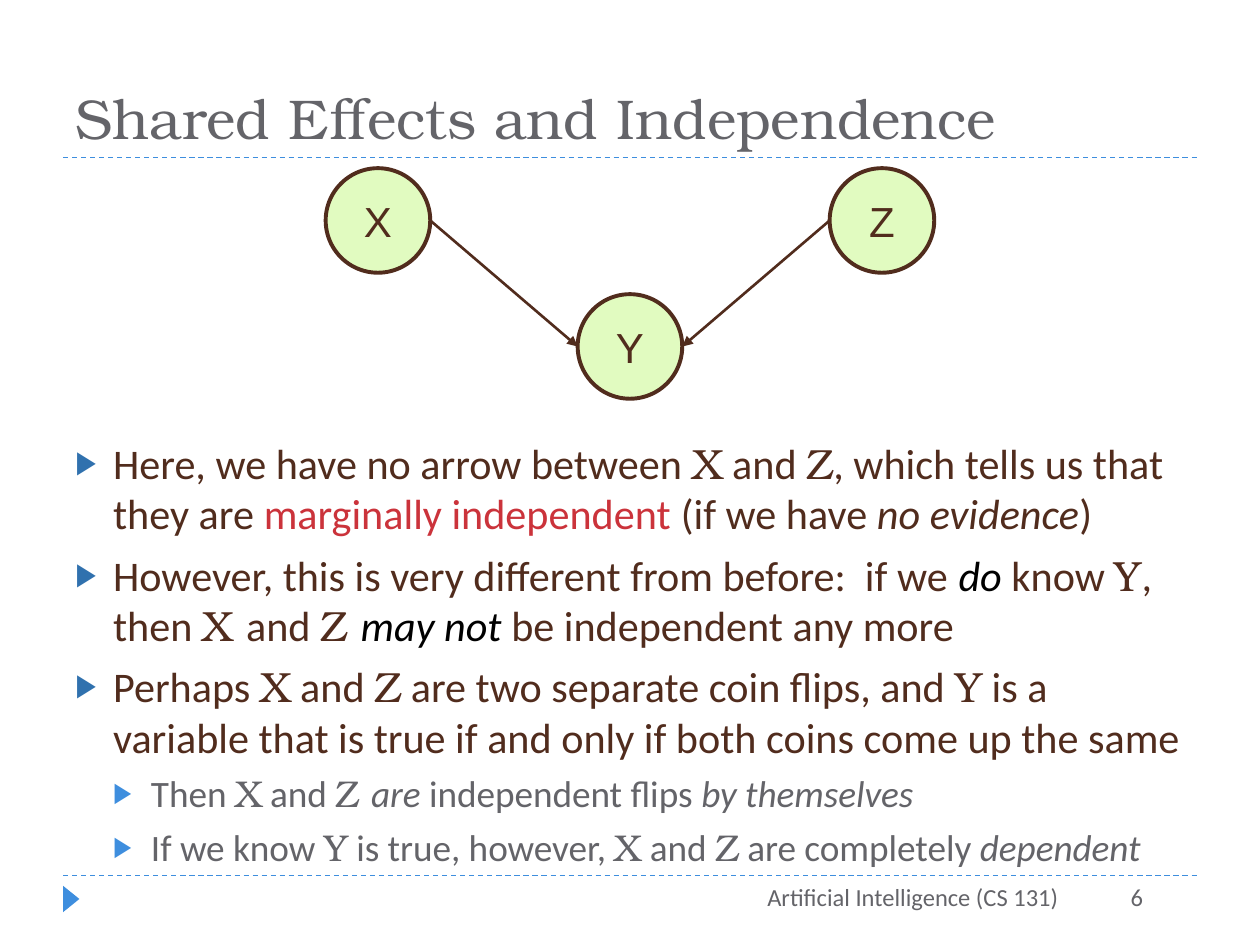
from lxml import etree
from pptx import Presentation
from pptx.dml.color import RGBColor
from pptx.enum.dml import MSO_LINE
from pptx.enum.shapes import MSO_CONNECTOR, MSO_SHAPE
from pptx.enum.text import MSO_ANCHOR, PP_ALIGN
from pptx.oxml.ns import qn
from pptx.util import Inches, Pt

LEFT, MID, RIGHT = PP_ALIGN.LEFT, PP_ALIGN.CENTER, PP_ALIGN.RIGHT
TOP, BOTTOM = MSO_ANCHOR.TOP, MSO_ANCHOR.BOTTOM
OVAL, WEDGE = MSO_SHAPE.OVAL, MSO_SHAPE.ISOSCELES_TRIANGLE
LINE, DASH = MSO_CONNECTOR.STRAIGHT, MSO_LINE.DASH

BLUE = RGBColor(0x3E, 0x8E, 0xDE)
NAVY = RGBColor(0x30, 0x71, 0xAE)
GRAY = RGBColor(0x64, 0x64, 0x69)
BROWN = RGBColor(0x51, 0x2C, 0x1D)
RED = RGBColor(0xCB, 0x33, 0x3B)
BLACK = RGBColor(0, 0, 0)
GREEN = RGBColor(0xE1, 0xFB, 0xC0)
SANS, SERIF, LABEL = "Calibri", "TeX Gyre Bonum", "Arial"

TITLE = "Shared Effects and Independence"
RULES = [1.25, 6.95]
NODES = {"X": (3, 1.75), "Y": (5, 2.75), "Z": (7, 1.75)}
EDGES = [("X", "Y", 1), ("Z", "Y", -1)]
SIZE, TAG = 0.83, 0.5
FOOT = [
    ("Artificial Intelligence (CS 131)", 3.83, 4.67),
    ("6", 8.08, 1.09),
]

STYLES = {
    "text": (SANS, None, False),
    "var": (SERIF, None, False),
    "em": (SANS, None, True),
    "dark": (SANS, BLACK, True),
    "red": (SANS, RED, False),
}
LEVELS = [
    {"size": 24.1, "color": BROWN, "mark": NAVY, "gap": 6},
    {"size": 21.3, "color": GRAY, "mark": BLUE, "gap": 5},
]
POINTS = [
    (0, [("Here, we have no arrow between ", "text"), ("X", "var"),
         (" and ", "text"), ("Z", "var"),
         (", which tells us that they are ", "text"),
         ("marginally independent ", "red"), ("(if we have ", "text"),
         ("no evidence", "em"), (")", "text")]),
    (0, [("However, this is very different from before:  if we ", "text"),
         ("do ", "dark"), ("know ", "text"), ("Y", "var"),
         (", then ", "text"), ("X ", "var"), ("and ", "text"),
         ("Z ", "var"), ("may not ", "dark"),
         ("be independent any more", "text")]),
    (0, [("Perhaps ", "text"), ("X", "var"), (" and ", "text"),
         ("Z", "var"), (" are two separate coin flips, and ", "text"),
         ("Y", "var"),
         (" is a variable that is true if and only if both coins "
          "come up the same", "text")]),
    (1, [("Then ", "text"), ("X", "var"), (" and ", "text"),
         ("Z ", "var"), ("are ", "em"), ("independent flips ", "text"),
         ("by themselves", "em")]),
    (1, [("If we know ", "text"), ("Y", "var"),
         (" is true, however, ", "text"), ("X", "var"),
         (" and ", "text"), ("Z", "var"),
         (" are completely ", "text"), ("dependent", "em")]),
]


def add_run(para, text, size, font, color, slant=False):
    run = para.add_run()
    run.text = text
    run.font.size = Pt(size)
    run.font.name = font
    run.font.color.rgb = color
    run.font.italic = slant


def add_box(slide, x, y, w, h):
    box = slide.shapes.add_textbox(Inches(x), Inches(y), Inches(w), Inches(h))
    box.text_frame.word_wrap = True
    box.text_frame.vertical_anchor = TOP
    return box.text_frame


def add_label(slide, text, area, align, size, font, color):
    para = add_box(slide, *area).paragraphs[0]
    para.alignment = align
    add_run(para, text, size, font, color)


def add_shape(slide, kind, x, y, w, h, fill):
    shape = slide.shapes.add_shape(
        kind, Inches(x), Inches(y), Inches(w), Inches(h))
    shape.shadow.inherit = False
    shape.fill.solid()
    shape.fill.fore_color.rgb = fill
    return shape


def add_line(slide, start, end, color, width):
    line = slide.shapes.add_connector(
        LINE, *[Inches(v) for v in (*start, *end)])
    line.line.color.rgb = color
    line.line.width = Pt(width)
    props = line._element.find(qn("p:spPr"))
    etree.SubElement(props, qn("a:effectLst"))
    return line


def add_head(line):
    props = line.line._get_or_add_ln()
    etree.SubElement(props, qn("a:tailEnd"), type="triangle")


def set_bullet(para, level, color):
    props = para._p.get_or_add_pPr()
    props.set("marL", str(Inches(0.3 * (level + 1))))
    props.set("indent", str(Inches(-0.3)))
    tint = etree.SubElement(props, qn("a:buClr"))
    etree.SubElement(tint, qn("a:srgbClr"), val=str(color))
    etree.SubElement(props, qn("a:buSzPct"), val="76000")
    etree.SubElement(props, qn("a:buFont"), typeface=LABEL)
    etree.SubElement(props, qn("a:buChar"), char="▶")


def add_frame(slide):
    for y in RULES:
        add_line(slide, (0.5, y), (9.5, y), BLUE, 0.75).line.dash_style = DASH
    wedge = add_shape(slide, WEDGE, 0.46, 7.07, 0.21, 0.13, BLUE)
    wedge.line.fill.background()
    wedge.rotation = 90
    for text, x, w in FOOT:
        add_label(slide, text, (x, 6.95, w, 0.4), RIGHT, 14, SANS, GRAY)


def add_title(slide):
    title = slide.shapes.title
    title.left, title.top = Inches(0.5), Inches(0.17)
    title.width, title.height = Inches(9), Inches(1.08)
    title.text_frame.vertical_anchor = BOTTOM
    para = title.text_frame.paragraphs[0]
    para.alignment = LEFT
    add_run(para, TITLE, 32, SERIF, GRAY)


def add_points(slide):
    frame = add_box(slide, 0.5, 3.42, 9, 3.32)
    for i, (level, runs) in enumerate(POINTS):
        look = LEVELS[level]
        para = frame.add_paragraph() if i else frame.paragraphs[0]
        para.level = level
        para.space_before = Pt(look["gap"])
        set_bullet(para, level, look["mark"])
        for text, style in runs:
            font, color, slant = STYLES[style]
            add_run(para, text, look["size"], font,
                    look["color"] if color is None else color, slant)


def add_graph(slide):
    half = SIZE / 2
    for x, y in NODES.values():
        node = add_shape(slide, OVAL, x - half, y - half, SIZE, SIZE, GREEN)
        node.line.color.rgb = BROWN
        node.line.width = Pt(2.25)
    for start, end, side in EDGES:
        (x1, y1), (x2, y2) = NODES[start], NODES[end]
        add_head(add_line(slide, (x1 + side * half, y1),
                          (x2 - side * half, y2), BROWN, 1.5))
    for name, (x, y) in NODES.items():
        area = (x - TAG / 2, y - TAG / 2, TAG, TAG)
        add_label(slide, name, area, MID, 24, LABEL, BROWN)


def main():
    deck = Presentation()
    deck.slide_width, deck.slide_height = Inches(10), Inches(7.5)
    slide = deck.slides.add_slide(deck.slide_layouts[5])
    add_frame(slide)
    add_title(slide)
    add_points(slide)
    add_graph(slide)
    deck.save("out.pptx")


if __name__ == "__main__":
    main()
